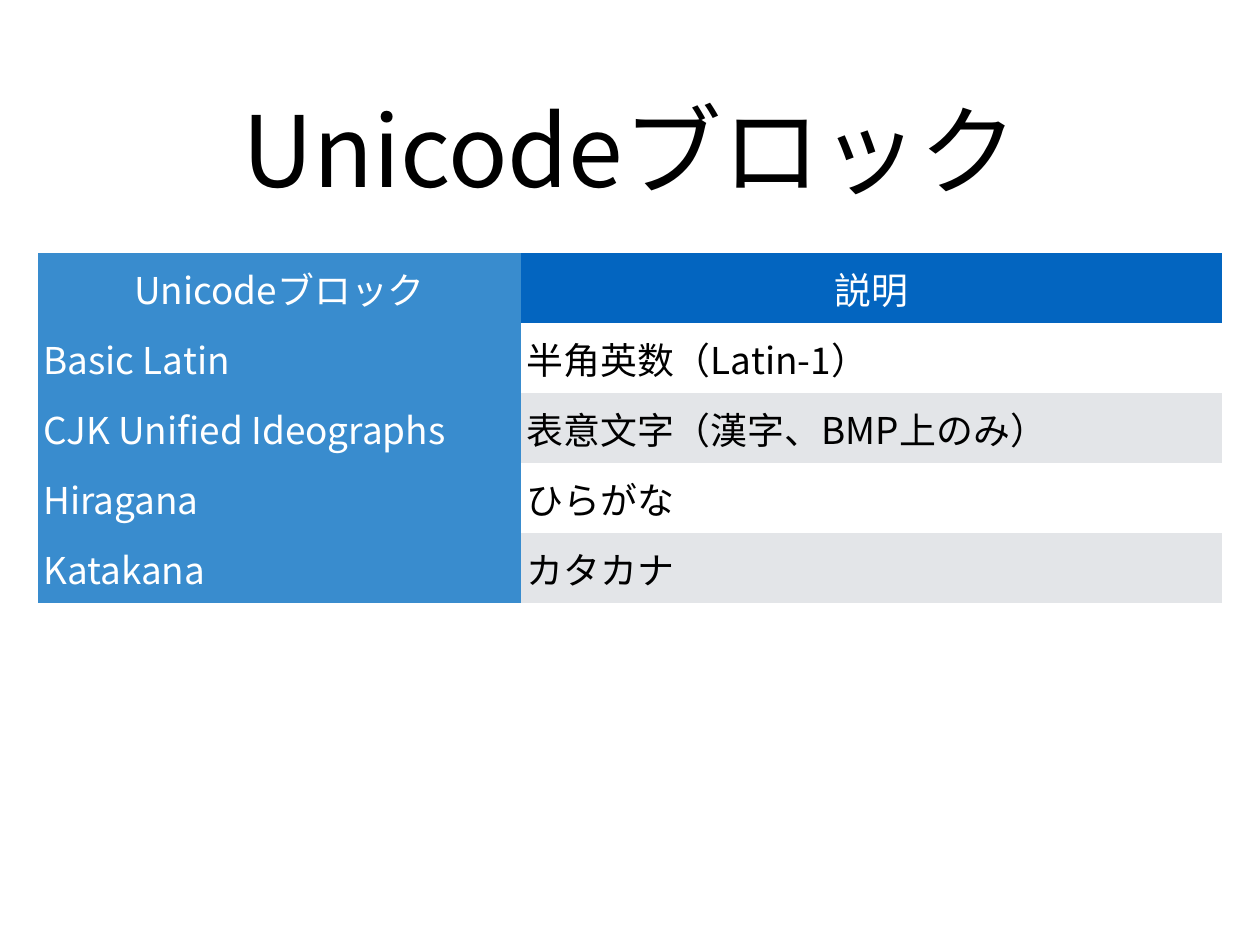
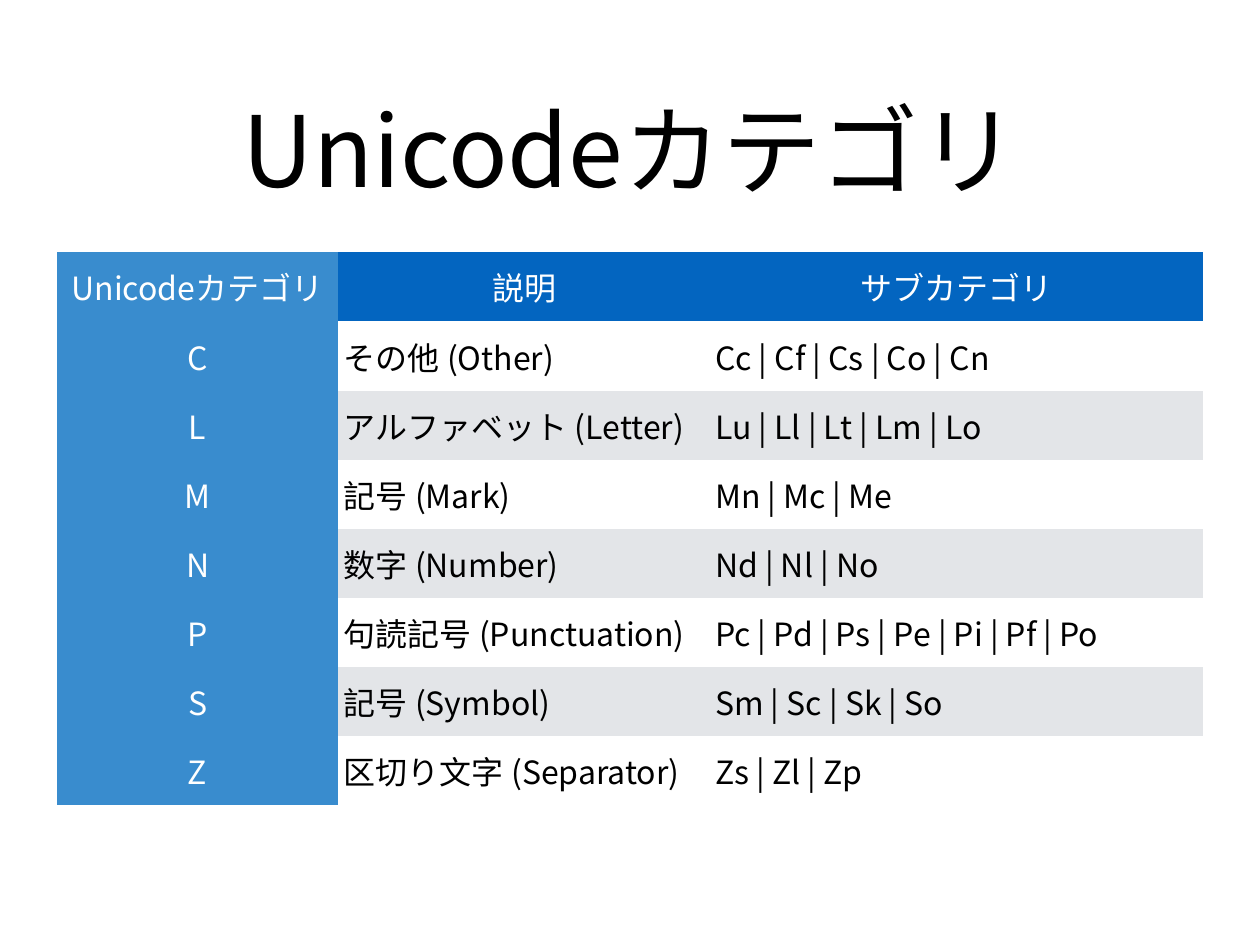
from lxml import etree
from pptx import Presentation
from pptx import util as u
from pptx.dml import color
from pptx.enum import text as t
from pptx.oxml import ns

FONT = "Noto Sans CJK JP"
BLACK, WHITE = "000000", "FFFFFF"
HEADER_BLUE, COLUMN_BLUE, BAND_GREY = "0365C0", "398CCE", "E3E5E8"
INSET = u.Inches(0.06)
PLAIN_TABLE_STYLE = "{2D5ABB26-0587-4C30-8999-92F81FD0307C}"

BLOCKS = [
    ("Unicodeブロック", "説明"),
    ("Basic Latin", "半角英数（Latin-1）"),
    ("CJK Unified Ideographs", "表意文字（漢字、BMP上のみ）"),
    ("Hiragana", "ひらがな"),
    ("Katakana", "カタカナ"),
]
CATEGORIES = [
    ("Unicodeカテゴリ", "説明", "サブカテゴリ"),
    ("C", "その他 (Other)", "Cc | Cf | Cs | Co | Cn"),
    ("L", "アルファベット (Letter)", "Lu | Ll | Lt | Lm | Lo"),
    ("M", "記号 (Mark)", "Mn | Mc | Me"),
    ("N", "数字 (Number)", "Nd | Nl | No"),
    ("P", "句読記号 (Punctuation)", "Pc | Pd | Ps | Pe | Pi | Pf | Po"),
    ("S", "記号 (Symbol)", "Sm | Sc | Sk | So"),
    ("Z", "区切り文字 (Separator)", "Zs | Zl | Zp"),
]


def rgb(value):
    return color.RGBColor.from_string(value)


def write(frame, words, size, ink=BLACK, centred=False):
    para = frame.paragraphs[0]
    para.alignment = t.PP_ALIGN.CENTER if centred else t.PP_ALIGN.LEFT
    span = para.add_run()
    span.text = words
    span.font.size = u.Pt(size)
    span.font.color.rgb = rgb(ink)
    span.font.name = FONT
    east_asian = etree.SubElement(span.font._element, ns.qn("a:ea"))
    east_asian.set("typeface", FONT)


def set_margins(box):
    box.margin_left = box.margin_right = INSET
    box.margin_top = box.margin_bottom = INSET
    box.vertical_anchor = t.MSO_ANCHOR.MIDDLE


def add_page(deck, heading):
    page = deck.slides.add_slide(deck.slide_layouts[5])
    title = page.shapes.title
    title.left, title.top = u.Inches(1.04), u.Inches(0.49)
    title.width, title.height = u.Inches(12.14), u.Inches(2.36)
    frame = title.text_frame
    frame.auto_size = t.MSO_AUTO_SIZE.NONE
    frame.word_wrap = True
    set_margins(frame)
    write(frame, heading, 80, centred=True)
    return page


def cell_fill(row, column):
    if column == 0:
        return COLUMN_BLUE
    if row == 0:
        return HEADER_BLUE
    return WHITE if row % 2 else BAND_GREY


def add_grid(page, rows, left, top, widths, row_height, size, centred_keys=False):
    holder = page.shapes.add_table(
        len(rows), len(widths), u.Inches(left), u.Inches(top),
        u.Inches(sum(widths)), u.Inches(row_height * len(rows)))
    table = holder.table
    table.horz_banding = False
    table.first_col = True
    table._tbl.tblPr.find(ns.qn("a:tableStyleId")).text = PLAIN_TABLE_STYLE
    for column, width in zip(table.columns, widths):
        column.width = u.Inches(width)
    for row, entries in enumerate(rows):
        table.rows[row].height = u.Inches(row_height)
        for column, words in enumerate(entries):
            cell = table.cell(row, column)
            set_margins(cell)
            cell.fill.solid()
            cell.fill.fore_color.rgb = rgb(cell_fill(row, column))
            is_key = column == 0
            write(cell.text_frame, words, size,
                  ink=WHITE if row == 0 or is_key else BLACK,
                  centred=row == 0 or (is_key and centred_keys))


def main():
    deck = Presentation()
    deck.slide_width, deck.slide_height = u.Inches(14.22), u.Inches(10.67)
    page = add_page(deck, "Unicodeブロック")
    add_grid(page, BLOCKS, 0.43, 2.86, [5.45, 7.91], 0.79, 30)
    page = add_page(deck, "Unicodeカテゴリ")
    add_grid(page, CATEGORIES, 0.64, 2.85, [3.18, 4.19, 5.57], 0.78, 26,
             centred_keys=True)
    deck.save("out.pptx")


if __name__ == "__main__":
    main()
